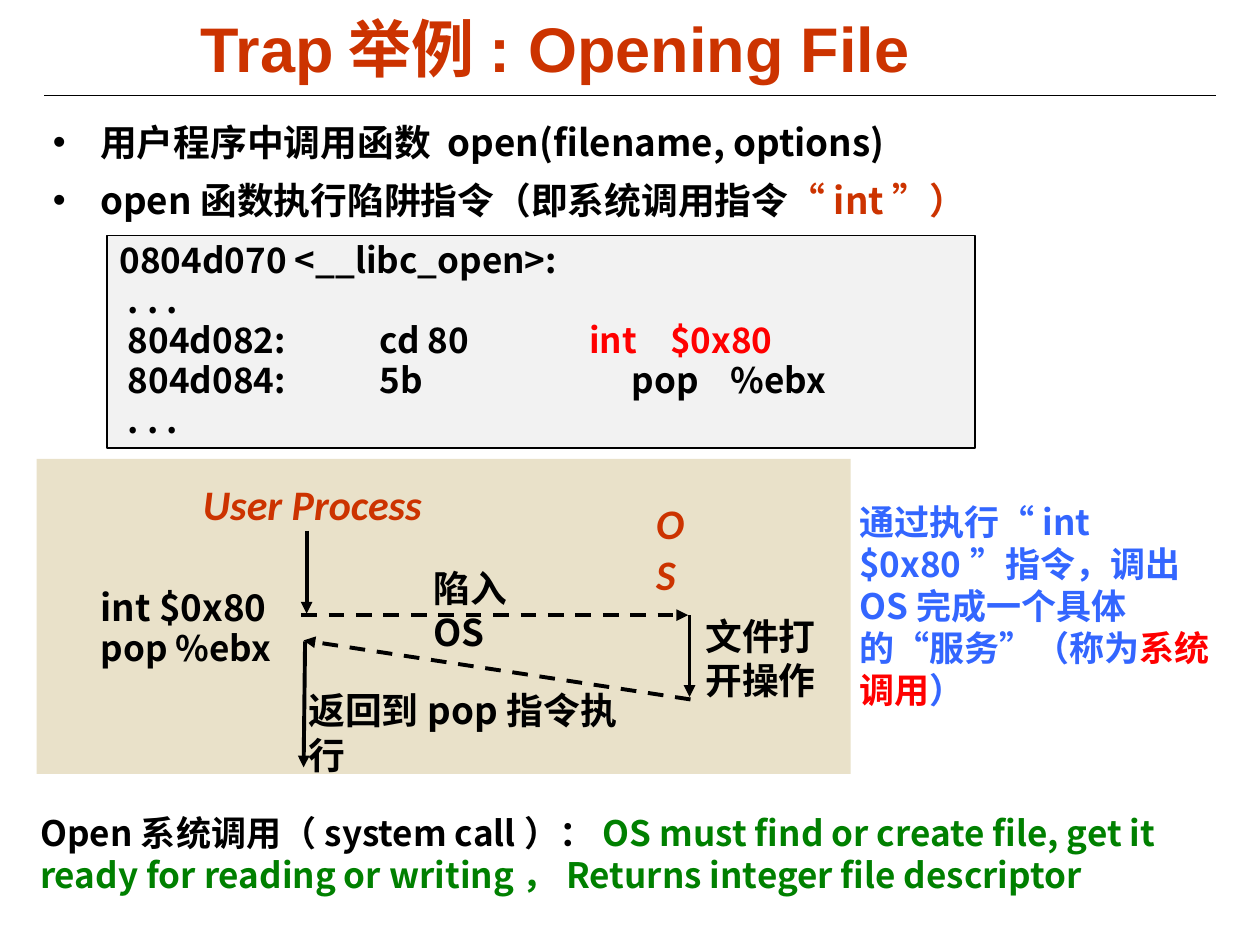
from pptx import Presentation
from pptx.dml.color import RGBColor
from pptx.enum.dml import MSO_LINE
from pptx.enum.shapes import MSO_CONNECTOR, MSO_SHAPE
from pptx.enum.text import MSO_ANCHOR, MSO_AUTO_SIZE, PP_ALIGN
from pptx.oxml.ns import qn
from pptx.util import Cm, Pt
from lxml.etree import SubElement

INK = {"black": "000000", "rust": "CC3300", "red": "FF0000", "blue": "3366FF",
       "green": "008000", "sand": "E9E1C9", "gray": "F2F2F2"}
SANS = "Noto Sans CJK SC"


def tint(name):
    return RGBColor.from_string(INK[name])


def place(shape, box):
    shape.left, shape.top, shape.width, shape.height = map(Cm, box)


def write(para, runs, size, face=SANS, slant=None):
    """Add (text, colour) runs to a paragraph."""
    for text, color in runs:
        run = para.add_run()
        run.text = text
        font = run.font
        font.size, font.bold, font.italic, font.name = Pt(size), True, slant, face
        font.color.rgb = tint(color)
        SubElement(run._r.rPr, qn("a:ea"), typeface=SANS)


def frame(shape, anchor=MSO_ANCHOR.TOP):
    text = shape.text_frame
    text.word_wrap = True
    text.auto_size = MSO_AUTO_SIZE.NONE
    text.vertical_anchor = anchor
    return text


def label(slide, box, runs, size, face=SANS, slant=None):
    shape = slide.shapes.add_textbox(*map(Cm, box))
    write(frame(shape).paragraphs[0], runs, size, face, slant)


def panel(slide, box, fill):
    shape = slide.shapes.add_shape(MSO_SHAPE.RECTANGLE, *map(Cm, box))
    shape.shadow.inherit = False
    shape.fill.solid()
    shape.fill.fore_color.rgb = tint(fill)
    shape.line.fill.background()
    return shape


def rule(slide, ends, width, arrow=False, dash=False):
    line = slide.shapes.add_connector(MSO_CONNECTOR.STRAIGHT, *map(Cm, ends))
    line.line.width = Pt(width)
    line.line.color.rgb = tint("black")
    if dash:
        line.line.dash_style = MSO_LINE.DASH
    if arrow:
        SubElement(line.line._get_or_add_ln(), qn("a:tailEnd"), type="triangle")
    SubElement(line._element.spPr, qn("a:effectLst"))


def head(slide, box):
    title = slide.shapes.title
    place(title, box)
    para = frame(title, MSO_ANCHOR.MIDDLE).paragraphs[0]
    para.alignment = PP_ALIGN.CENTER
    write(para, [("Trap举例: Opening File", "rust")], 36, "Arial")
    rule(slide, (0.89, 1.93, 24.51, 1.93), 0.75)


def points(slide, box):
    body = slide.placeholders[1]
    place(body, box)
    text = frame(body)
    items = [[("用户程序中调用函数 open(filename, options)", "black")],
             [("open函数执行陷阱指令（即系统调用指令", "black"), ("“int”）", "rust")]]
    for i, runs in enumerate(items):
        para = text.add_paragraph() if i else text.paragraphs[0]
        para.line_spacing, para.space_before = 1.15, Pt(4.2)
        write(para, runs, 21)


def code(slide, box):
    shape = panel(slide, box, "gray")
    shape.line.color.rgb = tint("black")
    shape.line.width = Pt(1)
    text = frame(shape)
    # Each row: runs, left indent, tab stops
    rows = [([("0804d070 <__libc_open>:", "black")], 0, ()),
            ([(". . .", "black")], 0.17, ()),
            ([("804d082:\tcd 80\t", "black"), ("int\t$0x80", "red")],
             0.17, (5.08, 9.3, 10.93)),
            ([("804d084:\t5b\tpop\t%ebx", "black")], 0.17, (5.08, 10.16, 12.15)),
            ([(". . .", "black")], 0.17, ())]
    for i, (runs, left, tabs) in enumerate(rows):
        para = text.add_paragraph() if i else text.paragraphs[0]
        para.alignment, para.line_spacing = PP_ALIGN.LEFT, 0.95
        props = para._p.get_or_add_pPr()
        props.set("marL", str(Cm(left)))
        if tabs:
            stops = SubElement(props, qn("a:tabLst"))
            for tab in tabs:
                SubElement(stops, qn("a:tab"), pos=str(Cm(tab)), algn="l")
        write(para, runs, 20)


def flow(slide, box):
    panel(slide, box, "sand")
    x, y = box[:2]
    # Arrows: start, end, dashed
    for x1, y1, x2, y2, dash in [(5.44, 1.45, 5.44, 3.12, False),
                                 (5.33, 3.15, 13.13, 3.15, True),
                                 (13.16, 3.15, 13.16, 4.8, False),
                                 (13.18, 4.85, 5.38, 3.66, True),
                                 (5.41, 3.68, 5.38, 6.22, False)]:
        rule(slide, (x + x1, y + y1, x + x2, y + y2), 2.25, True, dash)
    # Actors
    for text, left, top, wide in [("User Process", 3.1, 0.28, 5.1),
                                  ("OS", 12.24, 0.66, 1.45)]:
        label(slide, (x + left, y + top, wide, 1.27), [(text, "rust")],
              24, "Calibri", True)
    # Steps
    for text, left, top, wide, high, size, face in [
            ("陷入OS", 7.75, 2.03, 3.02, 1.14, 21, SANS),
            ("文件打开操作", 13.23, 3, 3.38, 2.03, 21, "Calibri"),
            ("返回到pop指令执行", 5.23, 4.5, 7.16, 1.14, 21, SANS),
            ("int $0x80", 1.04, 2.41, 4.04, 1.14, 21, SANS),
            ("pop %ebx", 1.04, 3.25, 4.45, 1.09, 20, SANS)]:
        label(slide, (x + left, y + top, wide, high), [(text, "black")], size, face)


def notes(slide, side, foot):
    label(slide, foot, [
        ("Open系统调用（system call）：", "black"),
        ("OS must find or create file, get it ready for reading or writing，"
         "Returns integer file descriptor", "green")], 20)
    label(slide, side, [
        ("通过执行“int $0x80”指令，调出OS完成一个具体的“服务”（称为", "blue"),
        ("系统调用", "red"), ("）", "blue")], 20)


deck = Presentation()
deck.slide_width, deck.slide_height = Cm(25.4), Cm(19.05)
slide = deck.slides.add_slide(deck.slide_layouts[1])
head(slide, (1.3, 0.36, 19.79, 1.17))
points(slide, (0.81, 2.16, 23.24, 3.02))
code(slide, (2.16, 4.75, 17.5, 4.29))
flow(slide, (0.74, 9.25, 16.41, 6.35))
notes(slide, (17.07, 9.96, 7.82, 3.63), (0.56, 16.23, 24.16, 1.96))
deck.save("out.pptx")
